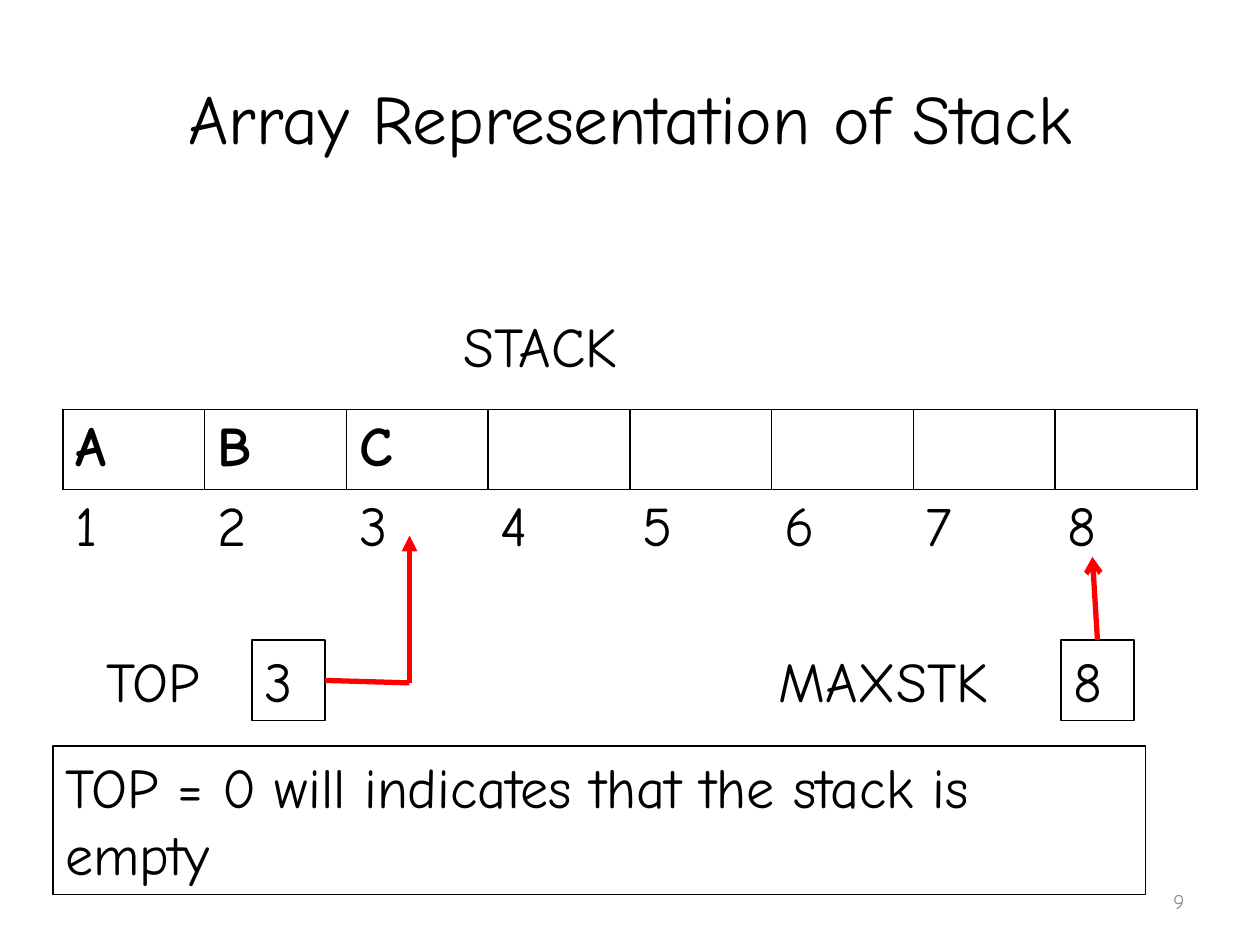
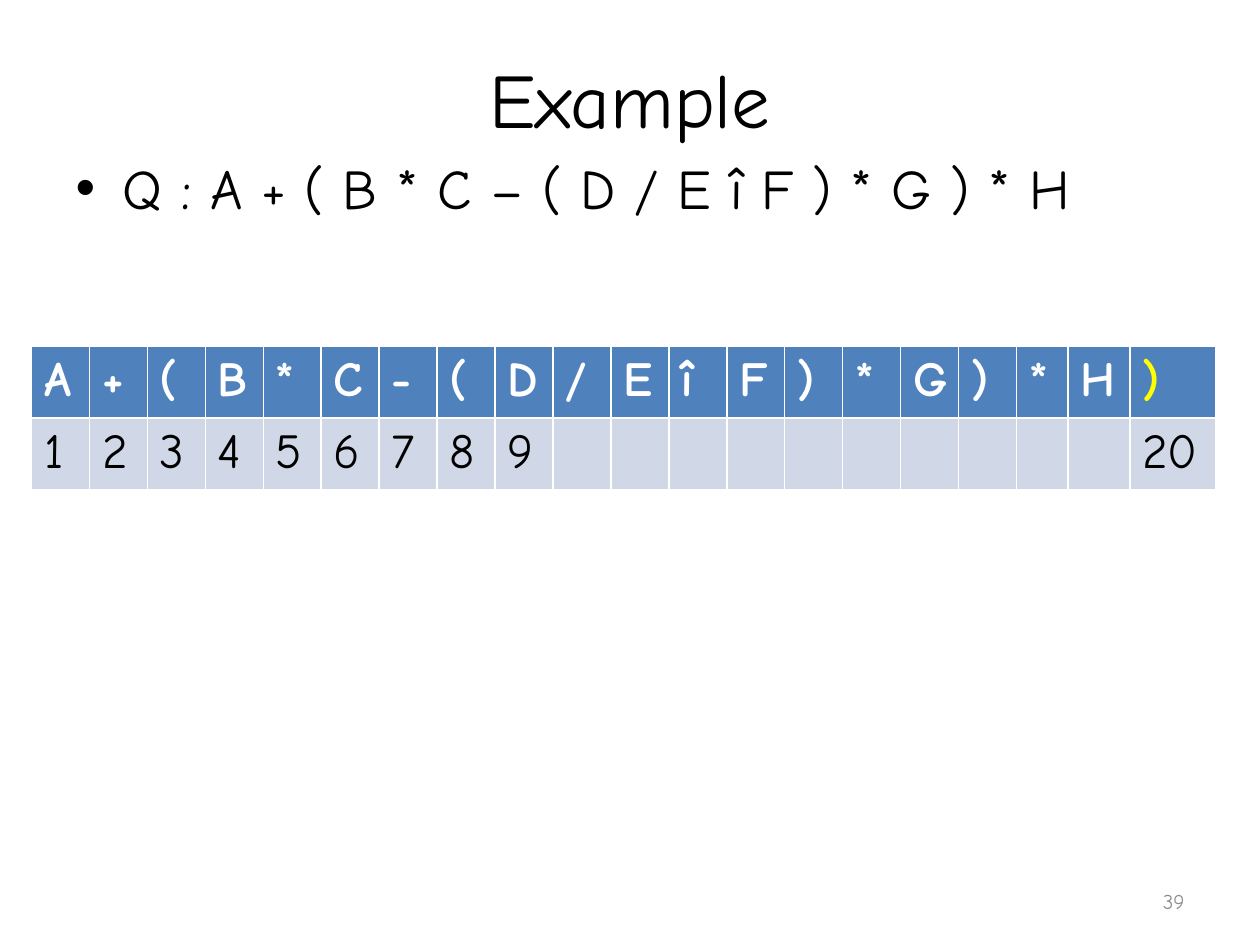
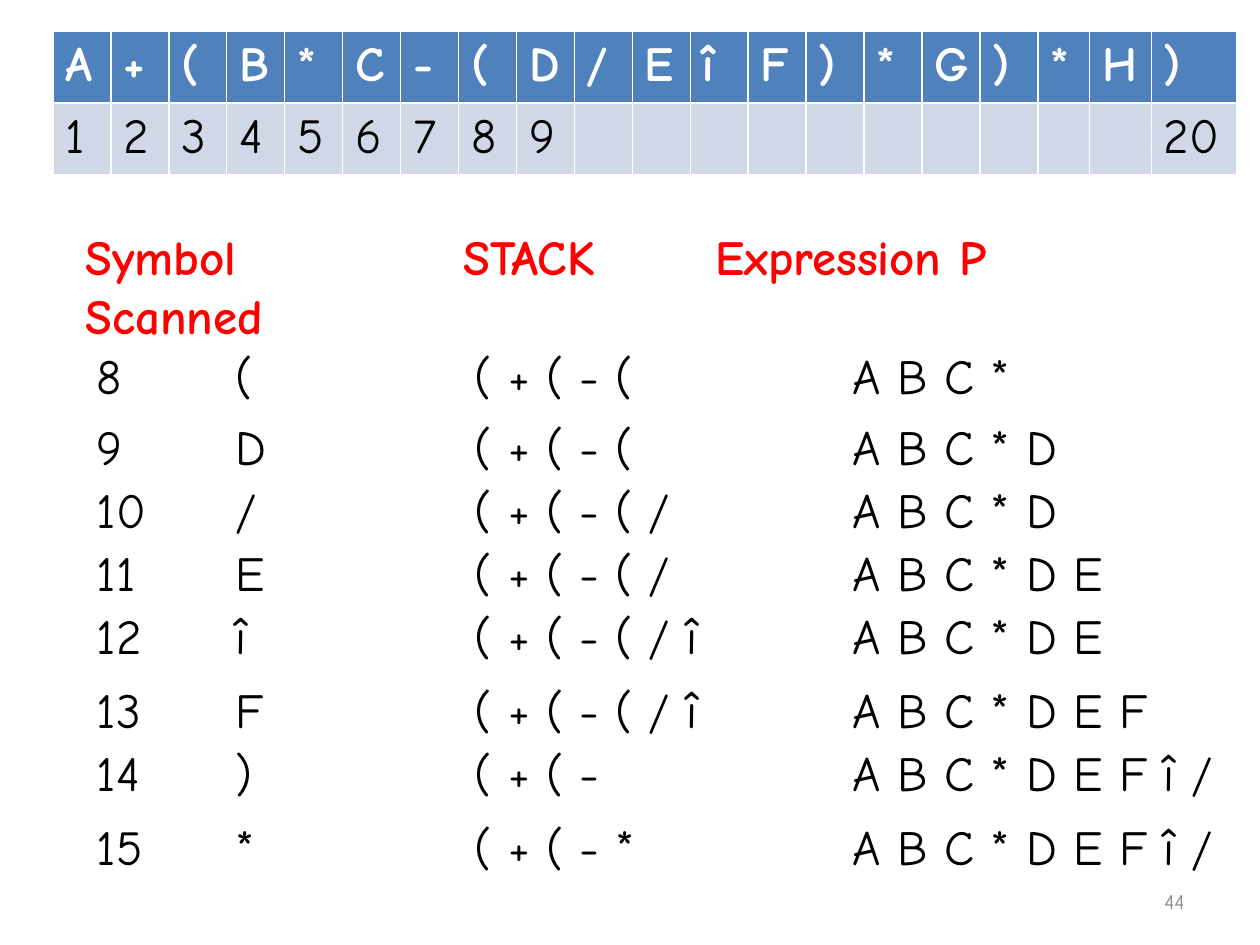
from dataclasses import dataclass

from lxml.etree import SubElement
from pptx import Presentation
from pptx.dml.color import RGBColor
from pptx.enum.shapes import MSO_CONNECTOR
from pptx.enum.text import MSO_ANCHOR, MSO_AUTO_SIZE, PP_ALIGN
from pptx.oxml.ns import qn
from pptx.util import Emu, Inches, Pt


@dataclass(frozen=True)
class Theme:
    font: str = "Comic Neue"
    ink: str = "000000"
    paper: str = "FFFFFF"
    grey: str = "8C8C8C"
    red: str = "FF0000"
    blue: str = "4F81BD"
    pale: str = "D0D8E8"
    yellow: str = "FFFF00"
    title: float = 44
    large: float = 32
    text: float = 28
    small: float = 12


THEME = Theme()
SIGNS = "A + ( B * C - ( D / E î F ) * G ) * H )".split()
PLACES = [str(n) for n in range(1, 10)] + [""] * 10 + ["20"]
SIGN_WIDTHS = [0.46] * 17 + [0.41, 0.49, 0.68]
STEPS = [
    (2.69, "8", "(", "( + ( - (", "A B C *"),
    (3.26, "9", "D", "( + ( - (", "A B C * D"),
    (3.76, "10", "/", "( + ( - ( /", "A B C * D"),
    (4.26, "11", "E", "( + ( - ( /", "A B C * D E"),
    (4.76, "12", "î", "( + ( - ( / î", "A B C * D E"),
    (5.34, "13", "F", "( + ( - ( / î", "A B C * D E F"),
    (5.84, "14", ")", "( + ( -", "A B C * D E F î /"),
    (6.43, "15", "*", "( + ( - *", "A B C * D E F î /"),
]


def color(code):
    return RGBColor.from_string(code)


def style(frame, size, ink=THEME.ink, bold=False, align=None):
    for para in frame.paragraphs:
        if align is not None:
            para.alignment = align
        for run in para.runs:
            font = run.font
            font.name, font.size, font.bold = THEME.font, Pt(size), bold
            font.color.rgb = color(ink)


def set_tabs(para, stops):
    tabs = SubElement(para._p.get_or_add_pPr(), qn("a:tabLst"))
    for stop in stops:
        SubElement(tabs, qn("a:tab"), pos=str(Inches(stop)), algn="l")


def add_text(slide, box, text, size=THEME.large, ink=THEME.ink, bold=False,
             align=None, framed=False, stops=()):
    shape = slide.shapes.add_textbox(*map(Inches, box))
    frame = shape.text_frame
    frame.word_wrap = True
    frame.text = text
    if stops:
        set_tabs(frame.paragraphs[0], stops)
    style(frame, size, ink, bold, align)
    if framed:
        shape.line.color.rgb = color(THEME.ink)
        shape.line.width = Pt(0.75)
    return frame


def fill_holder(holder, box, text, size, align=None):
    holder.left, holder.top, holder.width, holder.height = map(Inches, box)
    frame = holder.text_frame
    frame.text = text
    frame.auto_size = MSO_AUTO_SIZE.NONE
    style(frame, size, align=align)
    return frame


def add_title(slide, height, text, size):
    fill_holder(slide.shapes.title, (0.5, 0.3, 9, height), text, size,
                PP_ALIGN.CENTER)


def add_number(slide, number):
    frame = add_text(slide, (7.17, 6.95, 2.33, 0.4), str(number), THEME.small,
                     THEME.grey, align=PP_ALIGN.RIGHT)
    frame.vertical_anchor = MSO_ANCHOR.MIDDLE


def add_line(slide, start, end, head=None):
    line = slide.shapes.add_connector(MSO_CONNECTOR.STRAIGHT,
                                      *map(Inches, start + end))
    line.line.color.rgb = color(THEME.red)
    line.line.width = Pt(3)
    if head:
        SubElement(line.line._get_or_add_ln(), qn("a:tailEnd"), type=head)
    SubElement(line._element.spPr, qn("a:effectLst"))


def add_grid(slide, left, top, widths, height, rows):
    frame = slide.shapes.add_table(
        len(rows), len(widths), Inches(left), Inches(top),
        Inches(sum(widths)), Inches(height * len(rows)))
    table = frame.table
    for col, width in zip(table.columns, widths):
        col.width = Inches(width)
    for row, words in zip(table.rows, rows):
        row.height = Inches(height)
        for cell, word in zip(row.cells, words):
            cell.text = word
    return table


def set_edges(cell, sides):
    props = cell._tc.get_or_add_tcPr()
    for side in ("L", "R", "T", "B"):
        edge = SubElement(props, qn(f"a:ln{side}"), w=str(Pt(1)))
        if side in sides:
            fill = SubElement(edge, qn("a:solidFill"))
            SubElement(fill, qn("a:srgbClr"), val=THEME.ink)
        else:
            SubElement(edge, qn("a:noFill"))


def add_stack(slide, left, top):
    """Draw the cells of the stack with their numbers below."""
    items = ["A", "B", "C"] + [""] * 5
    places = [str(n) for n in range(1, 9)]
    table = add_grid(slide, left, top, [1.125] * 8, 0.62, [items, places])
    table.first_row = table.horz_banding = False
    for row, sides, bold in zip(table.rows, ("LRTB", "T"), (True, False)):
        for cell in row.cells:
            set_edges(cell, sides)
            cell.fill.background()
            style(cell.text_frame, THEME.large, bold=bold)


def add_signs(slide, left, top, last=THEME.paper):
    """Draw the signs of Q; last is the colour of the closing one."""
    table = add_grid(slide, left, top, SIGN_WIDTHS, 0.54, [SIGNS, PLACES])
    looks = ((THEME.blue, THEME.paper, True), (THEME.pale, THEME.ink, False))
    for row, (back, ink, bold) in zip(table.rows, looks):
        for cell in row.cells:
            cell.fill.solid()
            cell.fill.fore_color.rgb = color(back)
            style(cell.text_frame, THEME.text, ink, bold)
    style(table.cell(0, len(SIGNS) - 1).text_frame, THEME.text, last, True)


def add_field(slide, left, top, width, gap, name, value):
    """Draw a name and, past a gap, its value in a frame."""
    add_text(slide, (left, top, width, 0.64), name)
    add_text(slide, (left + width + gap, top, 0.58, 0.64), value, framed=True)


def add_steps(slide, left):
    head = "Symbol\tSTACK\tExpression P\nScanned"
    add_text(slide, (left, 1.75, 8.75, 1.04), head, THEME.text, THEME.red,
             bold=True, stops=(3, 5))
    for top, *parts in STEPS:
        add_text(slide, (left + 0.09, top, 9.25, 0.57), "\t".join(parts),
                 THEME.text, stops=(1.1, 3, 6))


def array_slide(deck):
    slide = deck.slides.add_slide(deck.slide_layouts[5])
    add_title(slide, 1.25, "Array Representation of Stack", 39.6)
    add_number(slide, 9)
    add_stack(slide, 0.5, 3.25)
    add_text(slide, (3.58, 2.42, 1.83, 0.64), "STACK")
    add_field(slide, 0.75, 5.08, 1.17, 0.08, "TOP", "3")
    add_line(slide, (2.58, 5.4), (3.25, 5.42))
    add_line(slide, (3.25, 5.42), (3.25, 4.25), "triangle")
    add_field(slide, 6.08, 5.08, 2.17, 0.17, "MAXSTK", "8")
    add_line(slide, (8.71, 5.08), (8.67, 4.42), "arrow")
    add_text(slide, (0.42, 5.92, 8.67, 1.18),
             "TOP = 0 will indicates that the stack is empty", framed=True)


def query_slide(deck):
    slide = deck.slides.add_slide(deck.slide_layouts[1])
    add_title(slide, 0.95, "Example", THEME.title)
    body = fill_holder(slide.placeholders[1], (0.5, 1.17, 9, 5.53),
                       "Q : A + ( B * C – ( D / E î F ) * G ) * H",
                       THEME.large)
    body.paragraphs[0].space_before = Emu(0)
    add_number(slide, 39)
    add_signs(slide, 0.25, 2.75, THEME.yellow)


def steps_slide(deck):
    slide = deck.slides.add_slide(deck.slide_layouts[6])
    add_number(slide, 44)
    add_signs(slide, 0.42, 0.25)
    add_steps(slide, 0.58)


def main():
    deck = Presentation()
    deck.slide_width, deck.slide_height = Inches(10), Inches(7.5)
    for build in (array_slide, query_slide, steps_slide):
        build(deck)
    deck.save("out.pptx")


if __name__ == "__main__":
    main()
